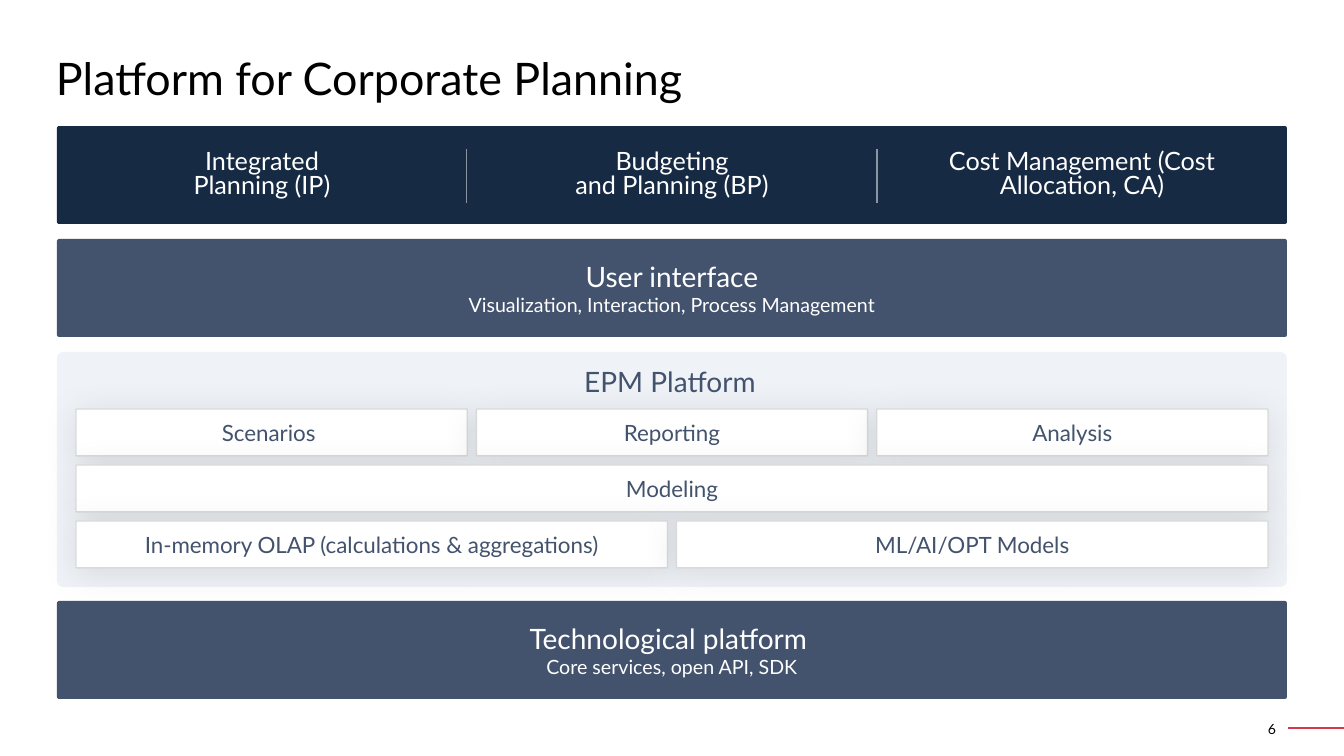
import lxml.etree
import pptx
import pptx.dml.color
import pptx.enum.shapes
import pptx.enum.text
import pptx.oxml
import pptx.oxml.ns
import pptx.util

PX = 914400 / 100.8
WIDTH, HEIGHT = 1344, 756
FONT = "Lato"
WHITE, BLACK, NAVY, SLATE = "FFFFFF", "000000", "172A43", "43526D"
PANEL, BORDER, DIVIDER, RED = "EFF3F7", "D9D9D9", "8B95A1", "D5384D"

TITLE = "Platform for Corporate Planning"
PAGE = "6"
PRODUCTS = [
    "Integrated\vPlanning (IP)",
    "Budgeting\vand Planning (BP)",
    "Cost Management (Cost Allocation, CA)",
]
BANDS = [
    (239, "User interface", "Visualization, Interaction, Process Management"),
    (601, "Technological platform ", "Core services, open API, SDK"),
]
EPM_TITLE = "EPM Platform"
EPM_ROWS = [
    ["Scenarios ", "Reporting", "Analysis"],
    ["Modeling"],
    ["In-memory OLAP (calculations & aggregations)", "ML/AI/OPT Models"],
]

LEFT, BAND_W, BAND_H = 57, 1230, 98
PRODUCTS_Y, PRODUCT_TEXT_W = 126, 318
PANEL_Y, PANEL_H = 352, 235
MODULE_X, MODULE_Y, MODULES_W, MODULE_H, GAP = 76, 409, 1192, 47, 9

ALIGN = pptx.enum.text.PP_ALIGN
ANCHOR = pptx.enum.text.MSO_ANCHOR


def px(*values):
    return [round(v * PX) for v in values]


def rgb(color):
    return pptx.dml.color.RGBColor.from_string(color)


def write(tf, lines, color, align=ALIGN.CENTER, anchor=ANCHOR.MIDDLE, spacing=None):
    """Fill a text frame with (text, size) paragraphs."""
    tf.word_wrap = True
    tf.vertical_anchor = anchor
    for i, (text, size) in enumerate(lines):
        p = tf.paragraphs[0] if i == 0 else tf.add_paragraph()
        p.text = text
        p.alignment = align
        if spacing:
            p.line_spacing = pptx.util.Pt(spacing)
        for r in p.runs:
            for key, value in {"name": FONT, "size": pptx.util.Pt(size)}.items():
                setattr(r.font, key, value)
            r.font.color.rgb = rgb(color)


def add_text(s, box, text, size, color, **layout):
    tf = s.shapes.add_textbox(*px(*box)).text_frame
    for side in ("left", "top", "right", "bottom"):
        setattr(tf, f"margin_{side}", 0)
    write(tf, [(text, size)], color, **layout)


def add_box(s, box, fill, border=None, corner=0.022):
    sp = s.shapes.add_shape(pptx.enum.shapes.MSO_SHAPE.ROUNDED_RECTANGLE, *px(*box))
    sp.adjustments[0] = corner
    sp.shadow.inherit = False
    sp.fill.solid()
    sp.fill.fore_color.rgb = rgb(fill)
    if border:
        sp.line.color.rgb = rgb(border)
        sp.line.width = pptx.util.Pt(1)
    else:
        sp.line.fill.background()
    return sp


def add_soft_shadow(sp):
    effects = sp._element.spPr.find(pptx.oxml.ns.qn("a:effectLst"))
    effects.append(pptx.oxml.parse_xml(
        f'<a:outerShdw {pptx.oxml.ns.nsdecls("a")} blurRad="{pptx.util.Pt(25)}" '
        f'dist="{pptx.util.Pt(3)}" dir="5400000" algn="t" rotWithShape="0">'
        f'<a:srgbClr val="{BLACK}"><a:alpha val="10000"/></a:srgbClr></a:outerShdw>'))


def add_line(s, ends, color, width):
    line = s.shapes.add_connector(pptx.enum.shapes.MSO_CONNECTOR.STRAIGHT, *px(*ends))
    line.line.color.rgb = rgb(color)
    line.line.width = pptx.util.Pt(width)
    lxml.etree.SubElement(line._element.spPr, pptx.oxml.ns.qn("a:effectLst"))


def add_products(s):
    add_box(s, (LEFT, PRODUCTS_Y, BAND_W, BAND_H), NAVY)
    column = BAND_W / len(PRODUCTS)
    for i, name in enumerate(PRODUCTS):
        x = LEFT + i * column
        text_x = x + (column - PRODUCT_TEXT_W) / 2
        add_text(s, (text_x, 152, PRODUCT_TEXT_W, 48), name, 18, WHITE,
                 anchor=ANCHOR.TOP, spacing=17)
        if i:
            add_line(s, (x, 149, x, 203), DIVIDER, 0.75)


def add_epm_platform(s):
    add_box(s, (LEFT, PANEL_Y, BAND_W, PANEL_H), PANEL, corner=0.027)
    for i, row in enumerate(EPM_ROWS):
        y = MODULE_Y + i * (MODULE_H + GAP)
        w = (MODULES_W - GAP * (len(row) - 1)) / len(row)
        for j, name in enumerate(row):
            sp = add_box(s, (MODULE_X + j * (w + GAP), y, w, MODULE_H), WHITE, BORDER)
            add_soft_shadow(sp)
            write(sp.text_frame, [(name, 16)], SLATE)
    add_text(s, (439, 364, 462, 34), EPM_TITLE, 20, SLATE, anchor=ANCHOR.TOP)


def main():
    prs = pptx.Presentation()
    prs.slide_width, prs.slide_height = px(WIDTH, HEIGHT)
    s = prs.slides.add_slide(prs.slide_layouts[6])

    add_text(s, (56, 51, 1046, 54), TITLE, 32, BLACK, align=ALIGN.LEFT, anchor=ANCHOR.TOP)
    add_products(s)
    add_epm_platform(s)
    for y, heading, detail in BANDS:
        sp = add_box(s, (LEFT, y, BAND_W, BAND_H), SLATE)
        write(sp.text_frame, [(heading, 20), (detail, 14)], WHITE)
    add_text(s, (1250, 719, 26, 19), PAGE, 10, BLACK, align=ALIGN.RIGHT)
    add_line(s, (WIDTH, 728, 1288, 728), RED, 2)

    prs.save("out.pptx")


if __name__ == "__main__":
    main()
